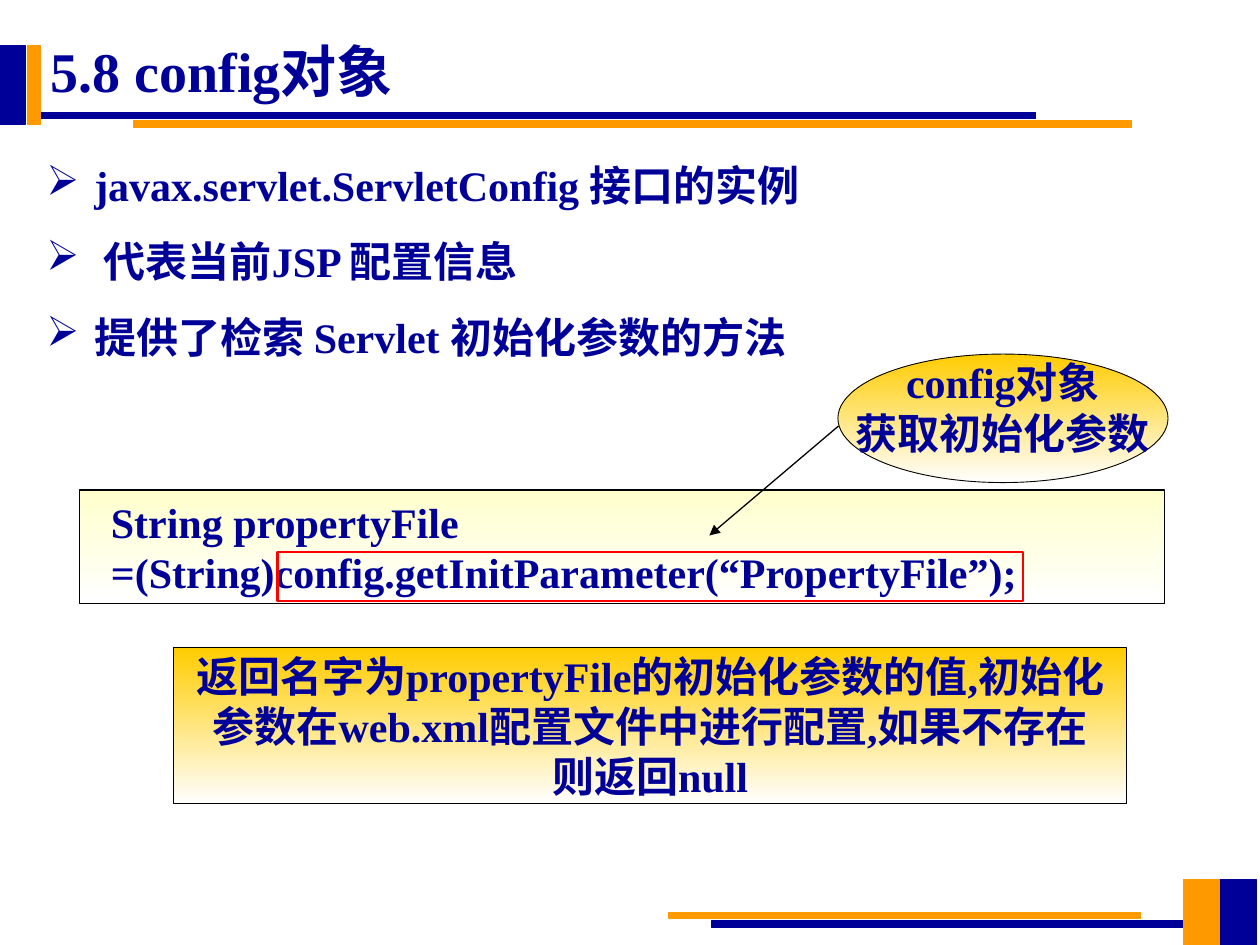
from dataclasses import dataclass

from lxml import etree
from pptx import Presentation
from pptx.dml.color import RGBColor
from pptx.enum import shapes, text
from pptx.oxml import ns
from pptx.util import Inches, Pt


@dataclass(frozen=True)
class Theme:
    navy: str = "000099"
    orange: str = "FF9900"
    gold: str = "FFCC00"
    cream: str = "FFFFCC"
    white: str = "FFFFFF"
    black: str = "000000"
    red: str = "FF0000"
    latin: str = "Times New Roman"
    asian: str = "Noto Sans CJK SC"
    title: int = 32
    body: int = 24


THEME = Theme()
RECT = shapes.MSO_SHAPE.RECTANGLE
OVAL = shapes.MSO_SHAPE.OVAL
LEFT, CENTER, JUSTIFY = text.PP_ALIGN.LEFT, text.PP_ALIGN.CENTER, text.PP_ALIGN.JUSTIFY
TOP, MIDDLE, BOTTOM = text.MSO_ANCHOR.TOP, text.MSO_ANCHOR.MIDDLE, text.MSO_ANCHOR.BOTTOM

BARS = [
    (0.3, 0.89, 7.92, 0.05, THEME.navy),
    (1.06, 0.96, 7.92, 0.05, THEME.orange),
    (0, 0.36, 0.2, 0.63, THEME.navy),
    (0.22, 0.36, 0.1, 0.63, THEME.orange),
    (9.68, 6.98, 0.29, 0.52, THEME.navy),
    (5.31, 7.24, 3.74, 0.05, THEME.orange),
    (5.65, 7.31, 3.74, 0.05, THEME.navy),
    (9.39, 6.98, 0.29, 0.52, THEME.orange),
]


def rgb(color):
    return RGBColor.from_string(color)


def add_child(parent, tag, **attributes):
    return etree.SubElement(parent, ns.qn(tag), attributes)


def add_bullet(para):
    props = para._p.get_or_add_pPr()
    props.set("marL", str(Inches(0.38)))
    props.set("indent", str(-Inches(0.38)))
    add_child(add_child(props, "a:buClr"), "a:srgbClr", val=THEME.navy)
    add_child(props, "a:buChar", char="➢")


def write(box, lines, size=THEME.body, align=LEFT, anchor=MIDDLE, wrap=True,
          left=0.1, right=0.1, spacing=1.0, bullets=False):
    frame = box.text_frame
    frame.word_wrap = wrap
    frame.vertical_anchor = anchor
    frame.margin_left, frame.margin_right = Inches(left), Inches(right)
    frame.margin_top = frame.margin_bottom = Inches(0.05)
    for index, line in enumerate(lines):
        para = frame.add_paragraph() if index else frame.paragraphs[0]
        para.alignment = align
        para.line_spacing = spacing
        if bullets:
            add_bullet(para)
        span = para.add_run()
        span.text = line
        span.font.size = Pt(size)
        span.font.bold = True
        span.font.color.rgb = rgb(THEME.navy)
        span.font.name = THEME.latin
        add_child(span.font._element, "a:ea", typeface=THEME.asian)


def add_box(page, place, kind=RECT, fill=None, fade=None, line=THEME.black, width=0.75):
    box = page.shapes.add_shape(kind, *map(Inches, place))
    box.shadow.inherit = False
    box.line.color.rgb = rgb(line)
    box.line.width = Pt(width)
    if fade:
        box.fill.gradient()
        box.fill.gradient_angle = 270
        for stop, color in zip(box.fill.gradient_stops, (fade, THEME.white)):
            stop.color.rgb = rgb(color)
    elif fill:
        box.fill.solid()
        box.fill.fore_color.rgb = rgb(fill)
    else:
        box.fill.background()
    return box


def add_arrow(page, start, end):
    arrow = page.shapes.add_connector(
        shapes.MSO_CONNECTOR.STRAIGHT, *map(Inches, start + end))
    arrow.line.color.rgb = rgb(THEME.black)
    arrow.line.width = Pt(0.75)
    add_child(arrow.line._get_or_add_ln(), "a:tailEnd", type="triangle")
    add_child(arrow._element.spPr, "a:effectLst")


def add_title(page, line):
    title = page.shapes.title
    title.left, title.top, title.width, title.height = map(Inches, (0.3, 0.21, 9.65, 0.7))
    write(title, [line], size=THEME.title)


def add_points(page, lines):
    box = page.shapes.add_textbox(*map(Inches, (0.27, 1.02, 9.63, 1.9)))
    write(box, lines, align=JUSTIFY, anchor=TOP, spacing=1.5, bullets=True)


def main():
    deck = Presentation()
    deck.slide_width, deck.slide_height = Inches(10), Inches(7.5)
    page = deck.slides.add_slide(deck.slide_layouts[5])

    for *place, color in BARS:
        add_box(page, place, fill=color, line=color)
    add_title(page, "5.8 config对象")
    add_points(page, [
        "javax.servlet.ServletConfig 接口的实例",
        "\u00a0代表当前JSP 配置信息".replace("\u00a0", " "),
        "提供了检索 Servlet 初始化参数的方法",
    ])

    code = add_box(page, (0.63, 3.89, 8.61, 0.9), fade=THEME.cream)
    write(code, ["String propertyFile",
                 "=(String)config.getInitParameter(“PropertyFile”);"], left=0.25, right=0)
    add_arrow(page, (6.68, 3.36), (5.63, 4.25))
    add_box(page, (2.2, 4.38, 5.92, 0.39), line=THEME.red, width=1.5)

    callout = add_box(page, (6.65, 2.81, 2.62, 1.02), kind=OVAL, fade=THEME.gold, width=0.5)
    write(callout, ["config对象", "获取初始化参数"], align=CENTER, anchor=BOTTOM, wrap=False)

    summary = add_box(page, (1.38, 5.14, 7.56, 1.24), fade=THEME.gold)
    write(summary, ["返回名字为propertyFile的初始化参数的值,初始化",
                    "参数在web.xml配置文件中进行配置,如果不存在",
                    "则返回null"], align=CENTER, wrap=False)

    deck.save("out.pptx")


if __name__ == "__main__":
    main()
